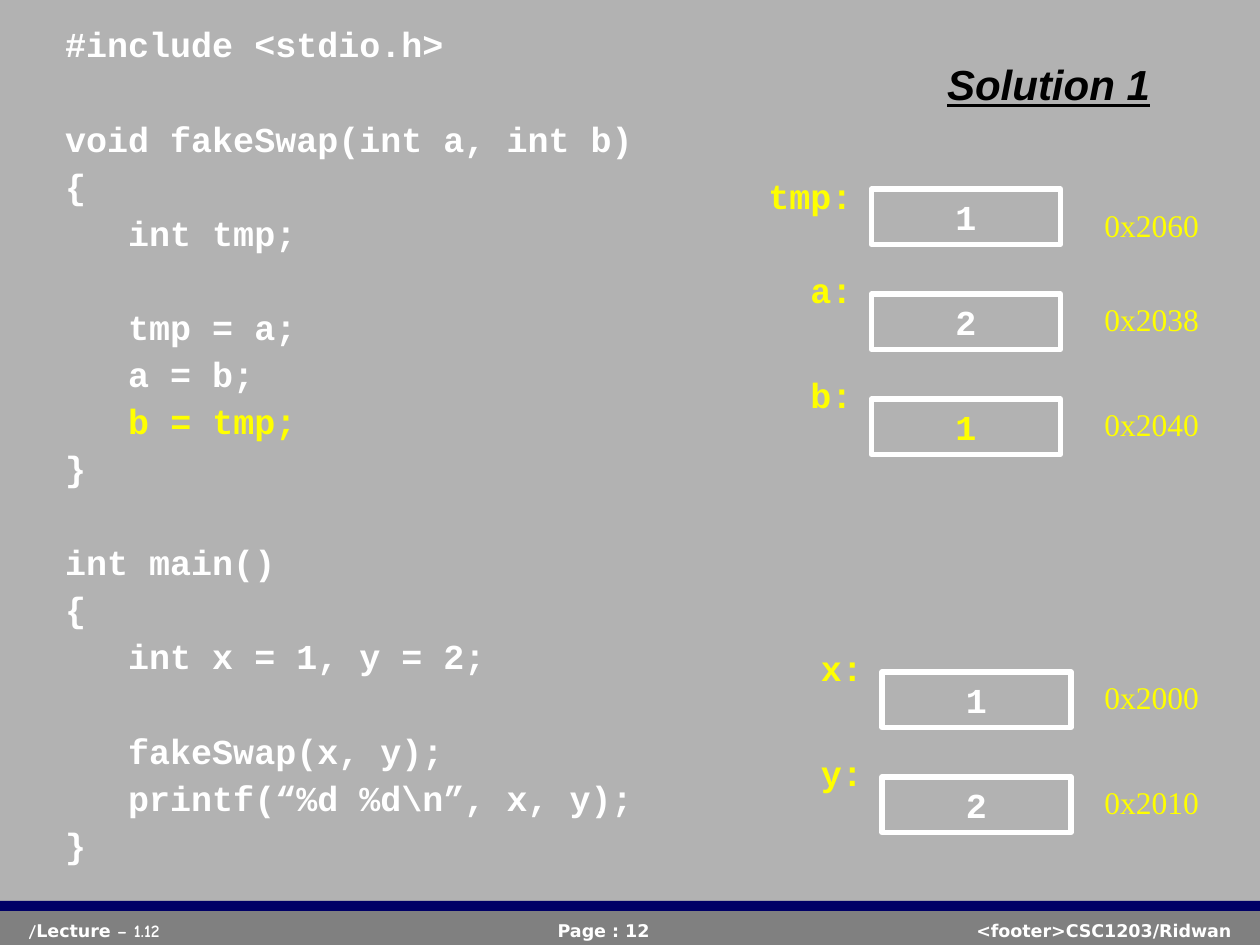
"""Build the slide that traces fakeSwap through the memory of a C program."""
import pptx
import pptx.util
import pptx.dml.color
import pptx.enum.shapes
import pptx.enum.text
import pptx.oxml.ns
import lxml.etree

GRID = 1 / 12
WHITE, YELLOW, BLACK = "FFFFFF", "FFFF00", "000000"
ALIGN = pptx.enum.text.PP_ALIGN
MONO = "Courier New"

TITLE = "Solution 1"
HIGHLIGHT = "b = tmp;"
CODE = """#include <stdio.h>

void fakeSwap(int a, int b)
{
   int tmp;

   tmp = a;
   a = b;
   b = tmp;
}

int main()
{
   int x = 1, y = 2;

   fakeSwap(x, y);
   printf(“%d %d\\n”, x, y);
}""".split("\n")

# label, value, address, value colour, cell column, then grid rows of cell, label and address
VARIABLES = [
    ("tmp:", "1", "0x2060", WHITE, 83, 18, 16, 19),
    ("a:", "2", "0x2038", WHITE, 83, 28, 25, 28),
    ("b:", "1", "0x2040", YELLOW, 83, 38, 35, 38),
    ("x:", "1", "0x2000", WHITE, 84, 64, 61, 64),
    ("y:", "2", "0x2010", WHITE, 84, 74, 71, 74),
]
BANDS = [("808080", 7.21, 0.29), ("000066", 7.15, 0.08)]
FOOTERS = [
    (0.13, 2.46, ALIGN.LEFT,
     [("/", "Comic Neue"), ("Lecture", "DejaVu Sans"), (" – 1.12", "Comic Neue")]),
    (3.75, 2.08, ALIGN.CENTER, [("Page : 12", "DejaVu Sans")]),
    (4.79, 5.08, ALIGN.RIGHT, [("<footer>CSC1203/Ridwan", "DejaVu Sans")]),
]


def color(value):
    return pptx.dml.color.RGBColor.from_string(value)


def place(shape, *bounds):
    shape.left, shape.top, shape.width, shape.height = map(pptx.util.Inches, bounds)


def style(font, size, fill, name=None, bold=True):
    font.size, font.bold = pptx.util.Pt(size), bold
    font.color.rgb = color(fill)
    if name:
        font.name = name


def prepare(frame, wrap=True):
    frame.word_wrap = wrap
    frame.auto_size = pptx.enum.text.MSO_AUTO_SIZE.NONE
    frame.vertical_anchor = pptx.enum.text.MSO_ANCHOR.TOP


def write(shape, text, size, fill, name, bold=True, align=ALIGN.LEFT, wrap=True):
    prepare(shape.text_frame, wrap)
    para = shape.text_frame.paragraphs[0]
    para.text, para.alignment = text, align
    style(para.font, size, fill, name, bold)
    return para


def add_box(page, *bounds):
    return page.shapes.add_textbox(*map(pptx.util.Inches, bounds))


def add_rectangle(page, *bounds):
    shape = page.shapes.add_shape(
        pptx.enum.shapes.MSO_SHAPE.RECTANGLE, *map(pptx.util.Inches, bounds))
    shape.shadow.inherit = False
    return shape


def add_footer(page):
    for fill, top, height in BANDS:
        band = add_rectangle(page, 0, top, 10, height)
        band.fill.solid()
        band.fill.fore_color.rgb = color(fill)
        band.line.fill.background()
    for left, width, align, spans in FOOTERS:
        box = add_box(page, left, 7.25, width, 0.25)
        para = write(box, "", 10, WHITE, None, align=align)
        for text, name in spans:
            span = para.add_run()
            span.text = text
            style(span.font, 10, WHITE, name)


def add_code(body):
    place(body, 5 * GRID, 0.25, 5.75, 6.65)
    frame = body.text_frame
    prepare(frame)
    for number, line in enumerate(CODE):
        para = frame.add_paragraph() if number else frame.paragraphs[0]
        para.line_spacing = 0.6
        para.space_before = pptx.util.Pt(12.5 if number else 0)
        properties = para._p.get_or_add_pPr()
        properties.set("marL", "0")
        properties.set("indent", "0")
        lxml.etree.SubElement(properties, pptx.oxml.ns.qn("a:buNone"))
        style(para.font, 20, WHITE, MONO)
        before, marked, after = line.partition(HIGHLIGHT)
        for text in filter(None, (before, marked, after)):
            span = para.add_run()
            span.text = text
            if text == HIGHLIGHT:
                span.font.color.rgb = color(YELLOW)


def add_variable(page, label, value, address, fill, column, row, label_row, address_row):
    cell = add_rectangle(page, column * GRID, row * GRID, 1.5, 0.44)
    cell.fill.background()
    cell.line.color.rgb = color(WHITE)
    cell.line.width = pptx.util.Pt(3)
    write(cell, value, 20, fill, MONO, align=ALIGN.CENTER)
    label_column = column - 3 - 2 * len(label)
    write(add_box(page, label_column * GRID, label_row * GRID, 1.5, 0.44),
          label, 20, YELLOW, MONO)
    write(add_box(page, 104 * GRID, address_row * GRID, 0.95, 0.4),
          address, 18, YELLOW, "Times New Roman", bold=False, wrap=False)


def main():
    deck = pptx.Presentation()
    deck.slide_width, deck.slide_height = pptx.util.Inches(10), pptx.util.Inches(7.5)
    page = deck.slides.add_slide(deck.slide_layouts[1])
    page.background.fill.solid()
    page.background.fill.fore_color.rgb = color("B2B2B2")
    title, body = page.placeholders
    place(title, 89 * GRID, 5 * GRID, 22 * GRID, 0.5)
    heading = write(title, TITLE, 24, BLACK, "Arial")
    heading.font.italic = heading.font.underline = True
    add_footer(page)
    add_code(body)
    for variable in VARIABLES:
        add_variable(page, *variable)
    deck.save("out.pptx")


if __name__ == "__main__":
    main()
